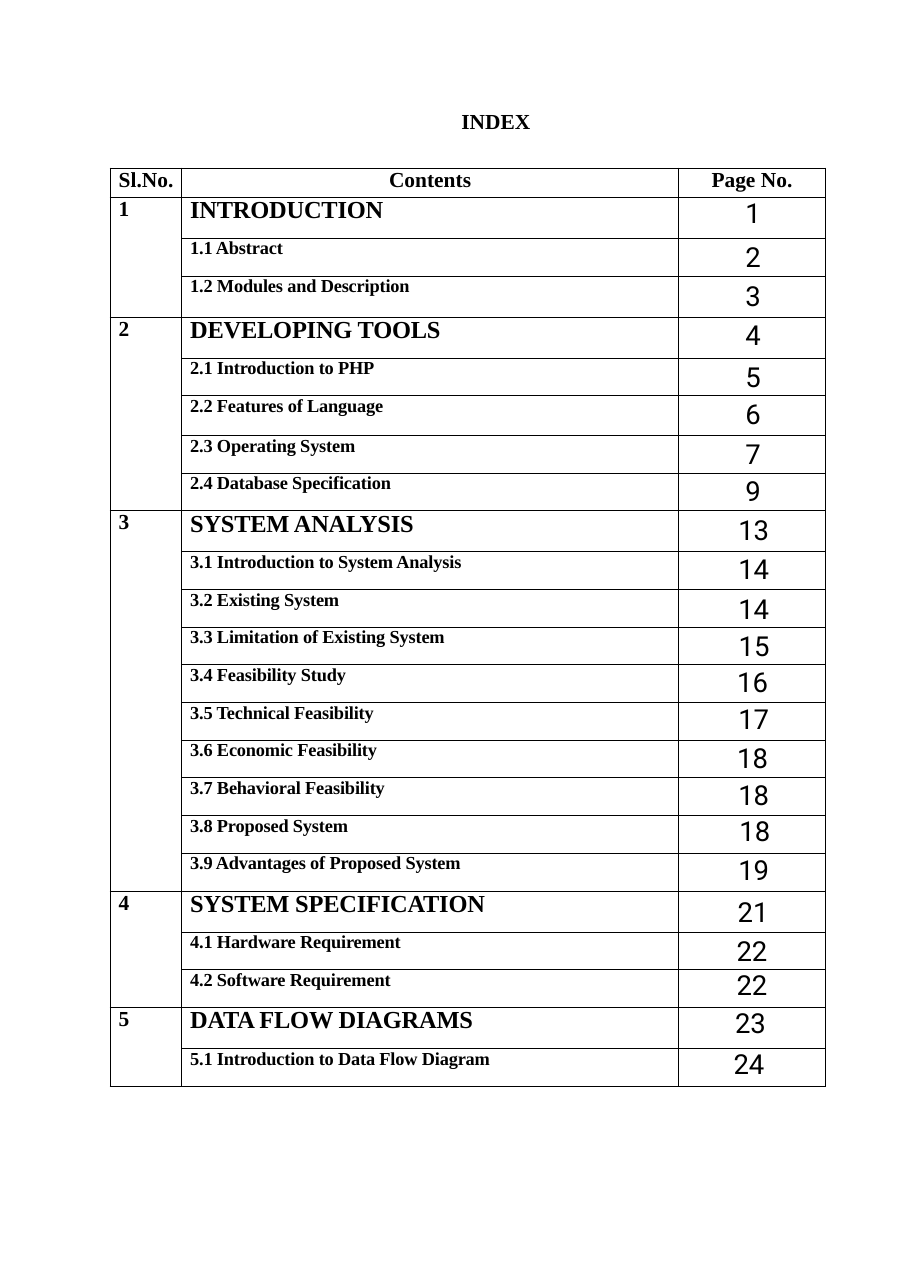
from lxml import etree
from pptx import Presentation
from pptx.dml.color import RGBColor
from pptx.enum.text import MSO_ANCHOR, PP_ALIGN
from pptx.oxml.ns import qn
from pptx.util import Cm, Pt

LEFT, CENTER = PP_ALIGN.LEFT, PP_ALIGN.CENTER
TOP = MSO_ANCHOR.TOP
SERIF, SANS = "Times New Roman", "Roboto"
BLACK = "000000"

HEADER_H, SECTION_H, ITEM_H = 0.67, 0.95, 0.87
TALL_ROWS = {"1.2": 0.95, "2.2": 0.91}

# Each entry: text, page, top margin (cm) and sideways shift (cm) of the page number.
SECTIONS = [
    [("INTRODUCTION", 1, 0, 0.05),
     ("Abstract", 2, 0.08, 0.05),
     ("Modules and Description", 3, 0.1, 0.05)],
    [("DEVELOPING TOOLS", 4, 0.05, 0.05),
     ("Introduction to PHP", 5, 0.08, 0.05),
     ("Features of Language", 6, 0.05, 0.05),
     ("Operating System", 7, 0.08, 0.05),
     ("Database Specification", 9, 0.05, 0.05)],
    [("SYSTEM ANALYSIS", 13, 0.1, 0.08),
     ("Introduction to System Analysis", 14, 0.05, 0.08),
     ("Existing System", 14, 0.1, 0.08),
     ("Limitation of Existing System", 15, 0.08, 0.1),
     ("Feasibility Study", 16, 0.03, 0.03),
     ("Technical Feasibility", 17, 0.03, 0.08),
     ("Economic Feasibility", 18, 0.05, 0.03),
     ("Behavioral Feasibility", 18, 0.03, 0.08),
     ("Proposed System", 18, 0, 0.13),
     ("Advantages of Proposed System", 19, 0.03, 0.08)],
    [("SYSTEM SPECIFICATION", 21, 0.13, 0.05),
     ("Hardware Requirement", 22, 0.08, 0),
     ("Software Requirement", 22, 0, 0)],
    [("DATA FLOW DIAGRAMS", 23, 0, -0.07),
     ("Introduction to Data Flow Diagram", 24, 0, -0.14)],
]


def write(tf, text, size=14, font=SERIF, bold=True, color=BLACK, align=LEFT,
          line=None, spacing=0):
    p = tf.paragraphs[0]
    p.alignment = align
    if line:
        p.line_spacing = Pt(line)
    r = p.add_run()
    r.text = text
    r.font.size = Pt(size)
    r.font.name = font
    r.font.bold = bold
    r.font.color.rgb = RGBColor.from_string(color)
    if spacing:
        r.font._element.set("spc", str(spacing))


def fill_cell(cell, text, left=0, right=0, top=0, **fmt):
    cell.margin_left, cell.margin_right = Cm(left), Cm(right)
    cell.margin_top, cell.margin_bottom = Cm(top), Cm(0)
    cell.vertical_anchor = TOP
    write(cell.text_frame, text, **fmt)


prs = Presentation()
prs.slide_width, prs.slide_height = Cm(21.03), Cm(29.74)
s = prs.slides.add_slide(prs.slide_layouts[6])

title = s.shapes.add_textbox(Cm(10.6), Cm(2.46), Cm(1.7), Cm(0.66))
tf = title.text_frame
tf.margin_left = tf.margin_right = tf.margin_bottom = Cm(0)
tf.margin_top = Cm(0.03)
tf.word_wrap = False
write(tf, "INDEX", align=CENTER)

row_count = 1 + sum(len(section) for section in SECTIONS)
frame = s.shapes.add_table(row_count, 3, Cm(2.54), Cm(3.88), Cm(16.51), Cm(21.2))
table = frame.table
table.first_row = table.horz_banding = False
for column, width in zip(table.columns, (1.65, 11.48, 3.38)):
    column.width = Cm(width)

for cell in table.iter_cells():
    tcPr = cell._tc.get_or_add_tcPr()
    for side in ("lnL", "lnR", "lnT", "lnB"):
        ln = etree.SubElement(tcPr, qn(f"a:{side}"), w=str(Pt(0.5)))
        solid = etree.SubElement(ln, qn("a:solidFill"))
        etree.SubElement(solid, qn("a:srgbClr"), val=BLACK)
    cell.fill.background()

table.rows[0].height = Cm(HEADER_H)
fill_cell(table.cell(0, 0), "Sl.No.", left=0.2, line=15.6)
fill_cell(table.cell(0, 1), "Contents", align=CENTER, line=15.6)
fill_cell(table.cell(0, 2), "Page No.", align=CENTER, line=15.6)

row = 1
for number, section in enumerate(SECTIONS, 1):
    number_cell = table.cell(row, 0)
    number_cell.merge(table.cell(row + len(section) - 1, 0))
    fill_cell(number_cell, str(number), left=0.2, line=15.6)
    for i, (text, page, top, shift) in enumerate(section):
        if i == 0:
            height, label, size, line = SECTION_H, text, 16, 17.5
        else:
            key = f"{number}.{i}"
            height = TALL_ROWS.get(key, ITEM_H)
            label, size, line = f"{key} {text}", 12, 13.6
        table.rows[row].height = Cm(height)
        fill_cell(table.cell(row, 1), label, left=0.2, size=size, line=line, spacing=-10)
        fill_cell(table.cell(row, 2), str(page), left=max(shift, 0), right=max(-shift, 0),
                  top=top, size=18, font=SANS, bold=False, align=CENTER, line=21.5)
        row += 1

prs.save("out.pptx")
